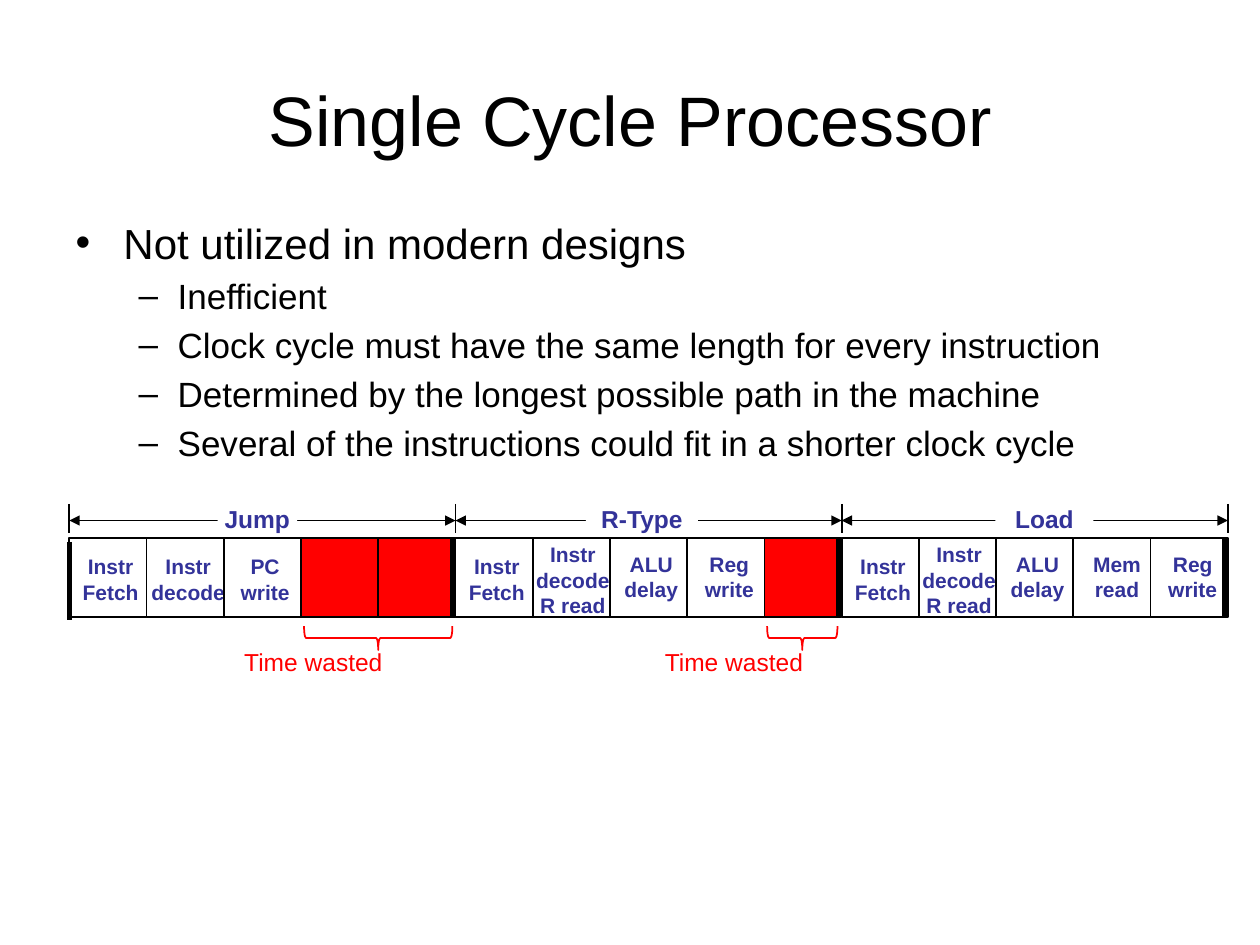
from dataclasses import dataclass
from typing import Optional

from lxml.etree import SubElement
from pptx import Presentation
from pptx.dml.color import RGBColor
from pptx.enum.shapes import MSO_CONNECTOR, MSO_SHAPE
from pptx.enum.text import MSO_ANCHOR, MSO_AUTO_SIZE, PP_ALIGN
from pptx.oxml.ns import qn
from pptx.util import Inches, Pt

COLORS = {"text": "000000", "label": "333399", "wasted": "FF0000", "paper": "FFFFFF"}
FONT = "Arial"
LEFT, TOP = 0.55, 4.27
COL, ROW = 0.613, 0.63
STAGES = 5


@dataclass
class Stage:
    text: str = ""
    dx: float = 0.11
    dy: float = 0.17
    width: float = 0.85
    height: float = 0.63


@dataclass
class Cycle:
    name: str
    name_dx: float
    name_width: float
    stages: list[Stage]


@dataclass
class Waste:
    center: float
    length: float
    note_col: float
    note_width: float


FETCH = Stage("Instr\nFetch", dy=0.2)
DECODE = Stage("Instr decode", dx=0, dy=0.2, width=1.08)
DECODE_READ = Stage("Instr decode R read", dx=-0.05, dy=0.05, width=1.14, height=0.95)
ALU = Stage("ALU delay")
REG = Stage("Reg write", dx=0.12)
IDLE = Stage()

CYCLES = [
    Cycle("Jump", 1.92, 1.03, [FETCH, DECODE, Stage("PC write", dy=0.2), IDLE, IDLE]),
    Cycle("R-Type", 1.69, 1.45, [FETCH, DECODE_READ, ALU, REG, IDLE]),
    Cycle("Load", 1.99, 1.27, [FETCH, DECODE_READ, ALU, Stage("Mem read", dx=0.14), REG]),
]
WASTES = [Waste(4, 1.92, 1.96, 2.4), Waste(9.49, 0.91, 7.52, 2.17)]
BULLETS = [
    (0, "Not utilized in modern designs"),
    (1, "Inefficient"),
    (1, "Clock cycle must have the same length for every instruction"),
    (1, "Determined by the longest possible path in the machine"),
    (1, "Several of the instructions could fit in a shorter clock cycle"),
]
LEVELS = [("•", 24, 0, 0.38, -0.38), ("–", 20, 4, 0.81, -0.31)]


def color(name: str) -> RGBColor:
    return RGBColor.from_string(COLORS[name])


def x(col: float) -> int:
    return Inches(LEFT + col * COL)


def y(row: float) -> int:
    return Inches(TOP + row * ROW)


def box(col: float, row: float, cols: float, rows: float) -> tuple[int, int, int, int]:
    return x(col), y(row), Inches(cols * COL), Inches(rows * ROW)


def style(p, size: float, name: str, bold: bool = False) -> None:
    for r in p.runs:
        r.font.name, r.font.size, r.font.bold = FONT, Pt(size), bold
        r.font.color.rgb = color(name)


def write(sp, text: str, size: float, name: str, bold: bool, anchor: MSO_ANCHOR) -> None:
    tf = sp.text_frame
    tf.text = text
    tf.word_wrap = True
    tf.vertical_anchor = anchor
    tf.margin_left = tf.margin_right = tf.margin_top = tf.margin_bottom = 0
    for p in tf.paragraphs:
        p.alignment = PP_ALIGN.CENTER
        style(p, size, name, bold)


def add_shape(s, kind: MSO_SHAPE, bounds: tuple, fill: Optional[str], line: Optional[str]):
    sp = s.shapes.add_shape(kind, *bounds)
    sp.shadow.inherit = False
    if fill:
        sp.fill.solid()
        sp.fill.fore_color.rgb = color(fill)
    else:
        sp.fill.background()
    if line:
        sp.line.color.rgb = color(line)
        sp.line.width = Pt(1)
    else:
        sp.line.fill.background()
    return sp


def add_line(s, start: tuple, end: tuple, width: float = 1, arrows: bool = False) -> None:
    sp = s.shapes.add_connector(
        MSO_CONNECTOR.STRAIGHT, x(start[0]), y(start[1]), x(end[0]), y(end[1]))
    sp.line.color.rgb = color("text")
    sp.line.width = Pt(width)
    if arrows:
        for tag in ("a:headEnd", "a:tailEnd"):
            SubElement(sp.line._get_or_add_ln(), qn(tag), type="triangle")
    SubElement(sp._element.spPr, qn("a:effectLst"))


def add_stage(s, col: int, stage: Stage) -> None:
    fill = None if stage.text else "wasted"
    add_shape(s, MSO_SHAPE.RECTANGLE, box(col, 0, 1, 1), fill, "text")
    if stage.text:
        sp = s.shapes.add_textbox(*box(col + stage.dx, stage.dy, stage.width, stage.height))
        write(sp, stage.text, 12, "label", True, MSO_ANCHOR.TOP)


def add_cycle(s, col: int, cycle: Cycle) -> None:
    end = col + STAGES
    add_line(s, (end, -0.43), (end, -0.06))
    add_line(s, (col, -0.22), (end, -0.22), arrows=True)
    bounds = box(col + cycle.name_dx, -0.43, cycle.name_width, 0.37)
    sp = add_shape(s, MSO_SHAPE.RECTANGLE, bounds, "paper", None)
    write(sp, cycle.name, 14, "label", True, MSO_ANCHOR.MIDDLE)
    for i, stage in enumerate(cycle.stages):
        add_stage(s, col + i, stage)
    add_line(s, (end - 0.04, 0), (end - 0.04, 0.98), width=3)


def add_waste(s, waste: Waste) -> None:
    depth, length = Inches(0.3 * ROW), Inches(waste.length * COL)
    bounds = (x(waste.center) - depth // 2, y(1.26) - length // 2, depth, length)
    sp = add_shape(s, MSO_SHAPE.LEFT_BRACE, bounds, None, "wasted")
    sp.rotation = 270
    sp.adjustments[0] = 0.083
    sp = s.shapes.add_textbox(*box(waste.note_col, 1.37, waste.note_width, 0.37))
    write(sp, "Time wasted", 14, "wasted", False, MSO_ANCHOR.MIDDLE)


def place(sp, left: float, top: float, width: float, height: float) -> None:
    sp.left, sp.top = int(prs.slide_width * left), int(prs.slide_height * top)
    sp.width, sp.height = int(prs.slide_width * width), int(prs.slide_height * height)
    sp.text_frame.auto_size = MSO_AUTO_SIZE.NONE


def add_bullet(p, level: int, text: str) -> None:
    mark, size, before, margin, indent = LEVELS[level]
    p.text, p.level = text, level
    p.space_before = Pt(before)
    pPr = p._p.get_or_add_pPr()
    pPr.set("marL", str(Inches(margin)))
    pPr.set("indent", str(Inches(indent)))
    SubElement(SubElement(pPr, qn("a:buClr")), qn("a:srgbClr"), val=COLORS["text"])
    SubElement(pPr, qn("a:buFont"), typeface=FONT)
    SubElement(pPr, qn("a:buChar"), char=mark)
    style(p, size, "text")


prs = Presentation()
prs.slide_width, prs.slide_height = Inches(10), Inches(7.5)
s = prs.slides.add_slide(prs.slide_layouts[1])

title, body = s.shapes.title, s.placeholders[1]
place(title, 0.05, 0.04, 0.9, 0.17)
title.text_frame.text = "Single Cycle Processor"
title.text_frame.vertical_anchor = MSO_ANCHOR.MIDDLE
title.text_frame.paragraphs[0].alignment = PP_ALIGN.CENTER
style(title.text_frame.paragraphs[0], 40, "text")

place(body, 0.05, 0.223, 0.9, 0.67)
tf = body.text_frame
for i, (level, text) in enumerate(BULLETS):
    add_bullet(tf.add_paragraph() if i else tf.paragraphs[0], level, text)

add_line(s, (0, -0.43), (0, -0.06))
add_line(s, (0, 0.05), (0, 1.03), width=3)
for i, cycle in enumerate(CYCLES):
    add_cycle(s, i * STAGES, cycle)
for waste in WASTES:
    add_waste(s, waste)

prs.save("out.pptx")
